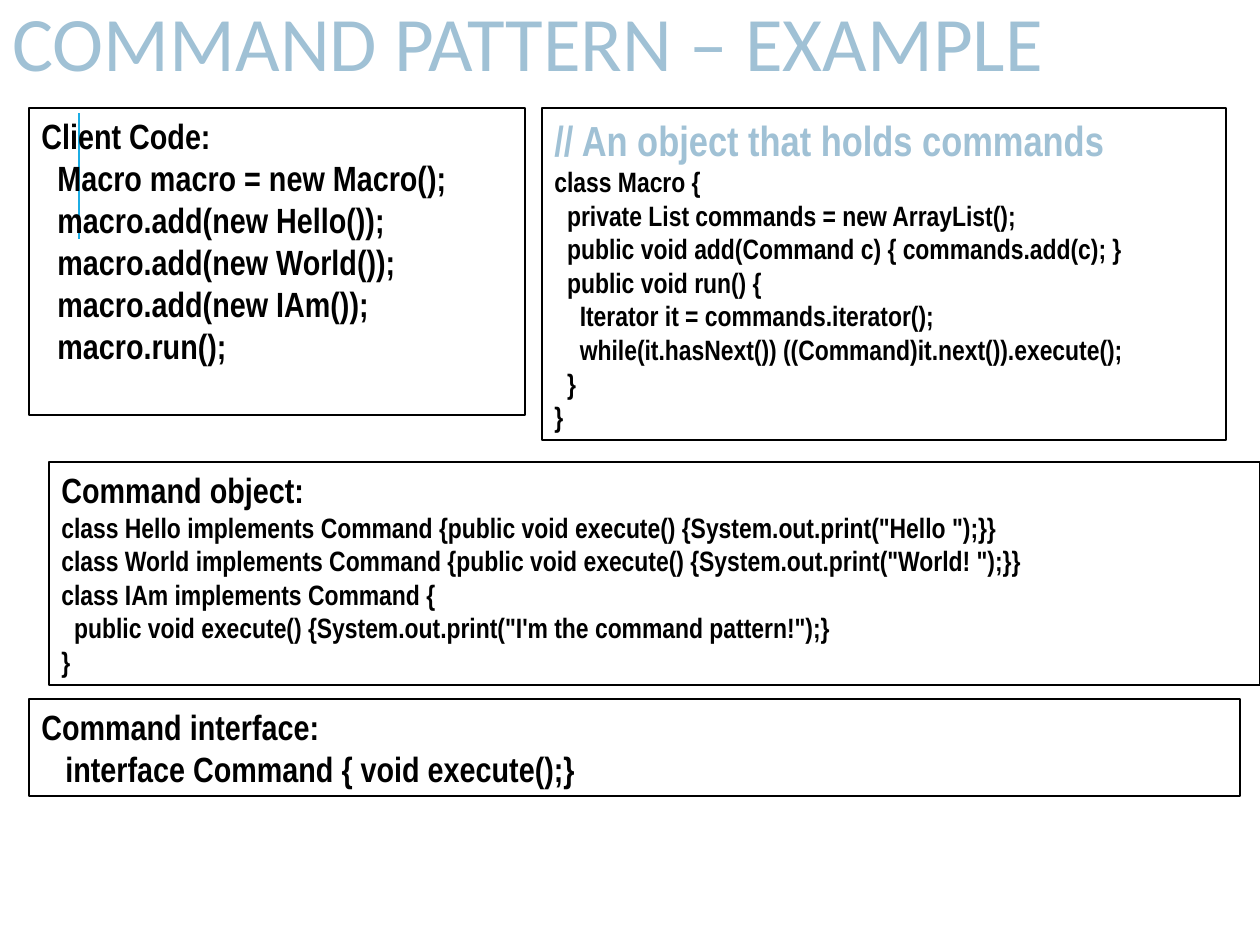
from pptx import Presentation
from pptx.dml.color import RGBColor
from pptx.enum.shapes import MSO_CONNECTOR, MSO_SHAPE
from pptx.enum.text import MSO_ANCHOR, MSO_AUTO_SIZE, PP_ALIGN
from pptx.oxml.ns import qn
from pptx.util import Emu, Pt
from lxml import etree

STRAIGHT = MSO_CONNECTOR.STRAIGHT
RECTANGLE = MSO_SHAPE.RECTANGLE
TOP, MIDDLE = MSO_ANCHOR.TOP, MSO_ANCHOR.MIDDLE
LEFT = PP_ALIGN.LEFT
NO_AUTOFIT = MSO_AUTO_SIZE.NONE

EMU_PER_PX = 914400 // 126
BLACK = RGBColor(0x00, 0x00, 0x00)
PALE_BLUE = RGBColor(0xA0, 0xC1, 0xD5)
ACCENT = RGBColor(0x1C, 0xAD, 0xE4)

TITLE = "COMMAND PATTERN – EXAMPLE"
TITLE_PLACE = (0, 0, 1260, 98)
RULE_X, RULE_TOP, RULE_BOTTOM = 79, 113, 239

# Each panel: place in px, heading, heading size, heading colour, code size, code
PANELS = [
    ((29, 108, 496, 307), "Client Code:", 20, BLACK, 20, [
        "  Macro macro = new Macro();",
        "  macro.add(new Hello());",
        "  macro.add(new World());",
        "  macro.add(new IAm());",
        "  macro.run();",
    ]),
    ((542, 108, 684, 332), "// An object that holds commands", 24, PALE_BLUE, 16, [
        "class Macro {",
        "  private List commands = new ArrayList();",
        "  public void add(Command c) { commands.add(c); }",
        "  public void run() {",
        "    Iterator it = commands.iterator();",
        "    while(it.hasNext()) ((Command)it.next()).execute();",
        "  }",
        "}",
    ]),
    ((49, 462, 1211, 223), "Command object:", 20, BLACK, 16, [
        'class Hello implements Command {public void execute() {System.out.print("Hello ");}}',
        'class World implements Command {public void execute() {System.out.print("World! ");}}',
        "class IAm implements Command {",
        "  public void execute() {System.out.print(\"I'm the command pattern!\");}",
        "}",
    ]),
    ((29, 699, 1211, 97), "Command interface:", 20, BLACK, 20, [
        "   interface Command { void execute();}",
    ]),
]


def px(length):
    return Emu(length * EMU_PER_PX)


def write(paragraph, text, size, color=BLACK, font="Arial Narrow", bold=True):
    paragraph.alignment = LEFT
    run = paragraph.add_run()
    run.text = text
    run.font.name = font
    run.font.size = Pt(size)
    run.font.bold = bold
    run.font.color.rgb = color


def add_title(slide):
    title = slide.shapes.title
    title.left, title.top, title.width, title.height = map(px, TITLE_PLACE)
    frame = title.text_frame
    frame.auto_size = NO_AUTOFIT
    frame.vertical_anchor = MIDDLE
    frame.paragraphs[0].line_spacing = 0.8
    write(frame.paragraphs[0], TITLE, 44, PALE_BLUE, font="Calibri", bold=False)


def add_rule(slide):
    rule = slide.shapes.add_connector(
        STRAIGHT, px(RULE_X), px(RULE_BOTTOM), px(RULE_X), px(RULE_TOP))
    rule.line.color.rgb = ACCENT
    rule.line.width = Pt(1.5)
    etree.SubElement(rule._element.spPr, qn("a:effectLst"))


def add_panel(slide, place, heading, heading_size, heading_color, code_size, code):
    panel = slide.shapes.add_shape(RECTANGLE, *map(px, place))
    panel.shadow.inherit = False
    panel.fill.background()
    panel.line.color.rgb = BLACK
    panel.line.width = Pt(0.75)
    frame = panel.text_frame
    frame.word_wrap = True
    frame.auto_size = NO_AUTOFIT
    frame.vertical_anchor = TOP
    write(frame.paragraphs[0], heading, heading_size, heading_color)
    for line in code:
        write(frame.add_paragraph(), line, code_size)


def main():
    deck = Presentation()
    deck.slide_width, deck.slide_height = px(1260), px(945)
    slide = deck.slides.add_slide(deck.slide_layouts.get_by_name("Title Only"))
    add_title(slide)
    add_rule(slide)
    for panel in PANELS:
        add_panel(slide, *panel)
    deck.save("out.pptx")


if __name__ == "__main__":
    main()
